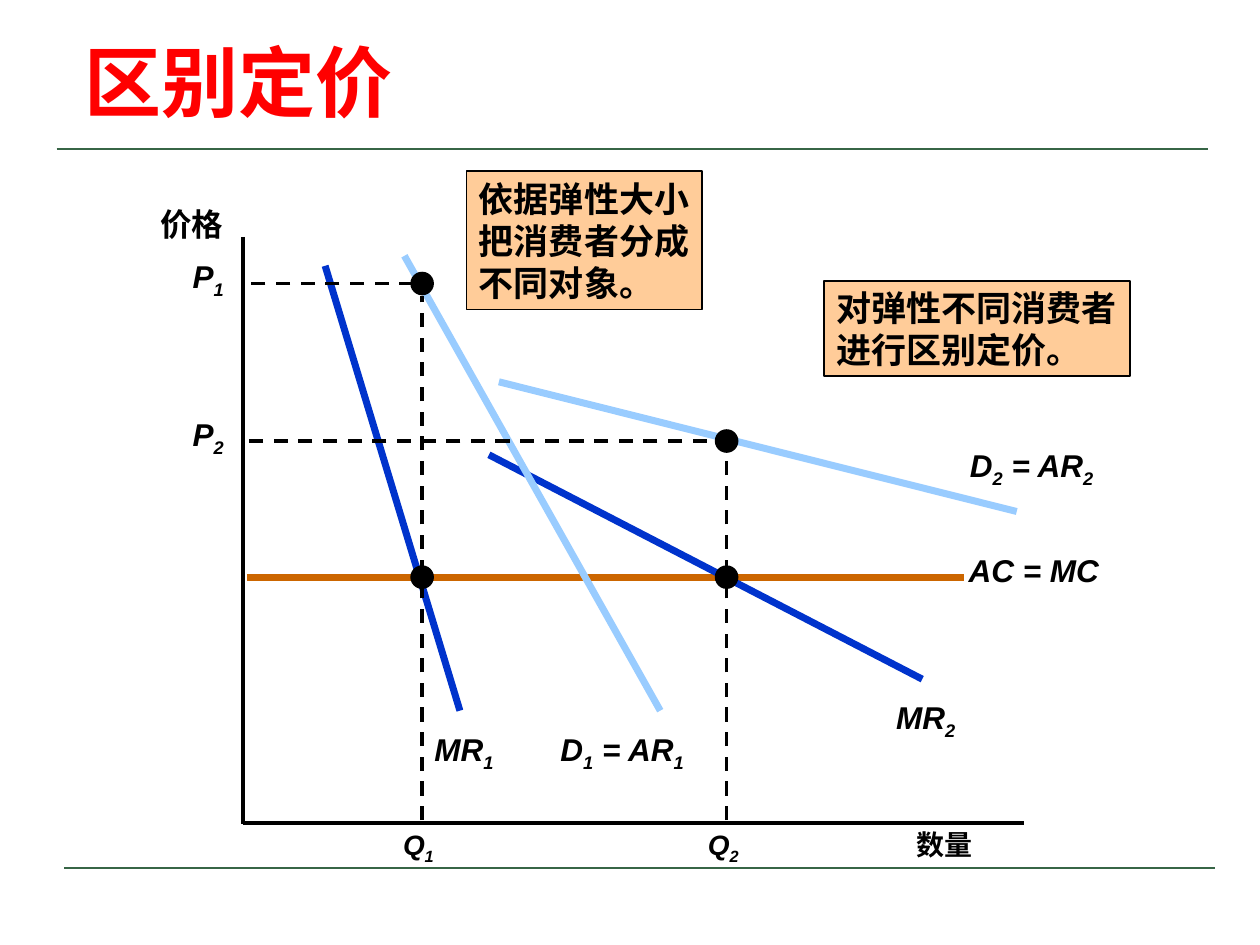
from pptx import Presentation
from pptx.dml.color import RGBColor
from pptx.enum.dml import MSO_LINE
from pptx.enum.shapes import MSO_CONNECTOR, MSO_SHAPE
from pptx.enum.text import MSO_ANCHOR, MSO_AUTO_SIZE, PP_ALIGN
from pptx.oxml.ns import qn
from pptx.util import Pt
from lxml.etree import SubElement

FONT = "Arial"
COLORS = {"title": "FF0000", "rule": "376546", "ink": "000000", "cost": "CC6600",
          "demand": "99CCFF", "marginal": "0033CC", "note": "FFCC99"}
TITLE = "区别定价"
AXIS_X, AXIS_Y = 139, 470.3
COST_Y = 329.8
DOT = 12.5

RULES = [(32.4, 85, 690.5, 85, 1), (36.7, 496.1, 694.1, 496.1, 1.5)]
AXES = [(AXIS_X, 135.4, AXIS_X, AXIS_Y + 0.6), (AXIS_X, AXIS_Y, 585.4, AXIS_Y)]
CURVES = [
    ("cost", 141.1, COST_Y, 550.8, COST_Y),
    ("demand", 285.1, 218.2, 581, 292.3),
    ("marginal", 279.4, 259.9, 527, 388.1),
    ("demand", 231.1, 146.2, 377.3, 406.1),
    ("marginal", 185.8, 151.9, 262.8, 406.1),
]
MARKETS = [
    {"quantity": 415.2, "price": 252, "dash_top": 256.3, "dash_right": 403.9},
    {"quantity": 241.2, "price": 162, "dash_top": 169.2, "dash_right": 236.2},
]
LABELS = [
    ("数量", 516.6, 469.4, 47, 25.9, 16, False),
    ("价格", 84.6, 113.8, 51, 28.8, 18, False),
    ("AC = MC", 546.5, 311.4, 92, 28.8, 18, True),
    ("Q_2", 397.4, 469.4, 35, 28.8, 16, True),
    ("Q_1", 223.2, 469.4, 35, 28.8, 16, True),
    ("P_2", 103, 233.6, 34, 31.7, 18, True),
    ("P_1", 103, 143.6, 34, 31.7, 18, True),
    ("MR_2", 505, 395.3, 50, 31.7, 18, True),
    ("MR_1", 241.2, 413.6, 50, 31.7, 18, True),
    ("D_2 = AR_2", 547.2, 251.3, 88, 31.7, 18, True),
    ("D_1 = AR_1", 313.2, 413.6, 88, 31.7, 18, True),
]
NOTES = [
    (["对弹性不同消费者", "进行区别定价。"], 470.9, 160.4, 175, 54.7),
    (["依据弹性大小", "把消费者分成", "不同对象。"], 266.6, 97.7, 134.6, 79.2),
]


def color(name):
    return RGBColor.from_string(COLORS[name])


def style(paragraph, size, name="ink", italic=False):
    paragraph.alignment = PP_ALIGN.LEFT
    font = paragraph.font
    font.name, font.size, font.bold, font.italic = FONT, Pt(size), True, italic
    font.color.rgb = color(name)


def add_line(x1, y1, x2, y2, name, width, dashed=False):
    line = slide.shapes.add_connector(MSO_CONNECTOR.STRAIGHT, Pt(x1), Pt(y1), Pt(x2), Pt(y2))
    line.line.color.rgb = color(name)
    line.line.width = Pt(width)
    if dashed:
        line.line.dash_style = MSO_LINE.DASH
    SubElement(line._element.spPr, qn("a:effectLst"))


def add_filled(preset, x, y, width, height, name):
    shape = slide.shapes.add_shape(preset, Pt(x), Pt(y), Pt(width), Pt(height))
    shape.shadow.inherit = False
    shape.fill.solid()
    shape.fill.fore_color.rgb = color(name)
    shape.line.color.rgb = color("ink")
    shape.line.width = Pt(1)
    return shape


def prepare(frame):
    frame.word_wrap = False
    frame.vertical_anchor = MSO_ANCHOR.TOP
    frame.auto_size = MSO_AUTO_SIZE.NONE


def add_label(text, x, y, width, height, size, italic):
    frame = slide.shapes.add_textbox(Pt(x), Pt(y), Pt(width), Pt(height)).text_frame
    prepare(frame)
    paragraph = frame.paragraphs[0]
    style(paragraph, size, italic=italic)
    first, *rest = text.split("_")
    paragraph.add_run().text = first
    for part in rest:
        subscript = paragraph.add_run()
        subscript.text = part[0]
        subscript._r.get_or_add_rPr().set("baseline", "-25000")
        if part[1:]:
            paragraph.add_run().text = part[1:]


def add_note(lines, x, y, width, height):
    frame = add_filled(MSO_SHAPE.RECTANGLE, x, y, width, height, "note").text_frame
    prepare(frame)
    frame.text = "\n".join(lines)
    for paragraph in frame.paragraphs:
        style(paragraph, 20)


presentation = Presentation()
presentation.slide_width, presentation.slide_height = Pt(720), Pt(540)
slide = presentation.slides.add_slide(presentation.slide_layouts[5])

for *ends, width in RULES:
    add_line(*ends, "rule", width)

title = slide.shapes.title
title.left, title.top, title.width, title.height = Pt(41), Pt(23.4), Pt(628.6), Pt(52.6)
title.text_frame.text = TITLE
title.text_frame.vertical_anchor = MSO_ANCHOR.BOTTOM
title.text_frame.auto_size = MSO_AUTO_SIZE.NONE
style(title.text_frame.paragraphs[0], 44, "title")

for ends in AXES:
    add_line(*ends, "ink", 2)
for name, *ends in CURVES:
    add_line(*ends, name, 4)
for market in MARKETS:
    quantity, price = market["quantity"], market["price"]
    add_line(quantity, 468.7, quantity, market["dash_top"], "ink", 2, True)
    add_line(market["dash_right"], price, 138.2, price, "ink", 2, True)
    for level in (COST_Y, price):
        add_filled(MSO_SHAPE.OVAL, quantity - DOT / 2, level - DOT / 2, DOT, DOT, "ink")
for label in LABELS:
    add_label(*label)
for note in NOTES:
    add_note(*note)

presentation.save("out.pptx")
